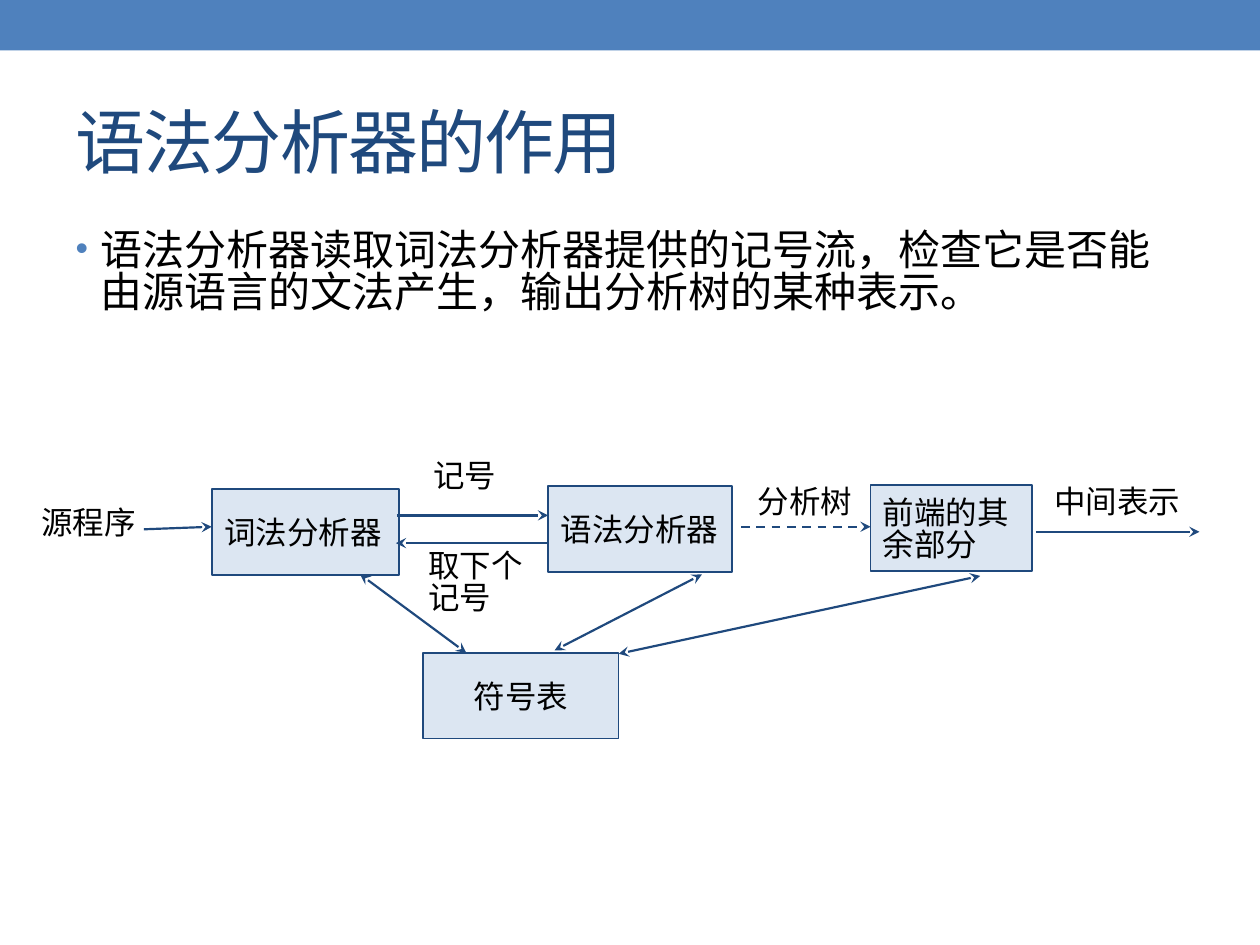
"""Build a slide on the role of the syntax analyser in a compiler front end."""
from lxml import etree
from pptx import Presentation
from pptx import util as u
from pptx.dml.color import RGBColor
from pptx.enum import dml, shapes, text
from pptx.oxml import ns

NAVY, BLUE, PALE, BLACK = "1F497D", "4F81BD", "DCE6F2", "000000"
SC, JP = "Noto Sans CJK SC", "Noto Sans CJK JP"
LEFT, CENTER = text.PP_ALIGN.LEFT, text.PP_ALIGN.CENTER


def rgb(value):
    return RGBColor.from_string(value)


def write(frame, wording, size=18, color=BLACK, font=SC, align=LEFT,
          spacing=0.84, top=0.19):
    frame.text = wording
    frame.word_wrap = True
    frame.auto_size = text.MSO_AUTO_SIZE.NONE
    frame.margin_top = u.Cm(top)
    for paragraph in frame.paragraphs:
        paragraph.alignment = align
        paragraph.line_spacing = spacing
        for run in paragraph.runs:
            run.font.size = u.Pt(size)
            run.font.color.rgb = rgb(color)
            run.font.name = font
            properties = run._r.get_or_add_rPr()
            etree.SubElement(properties, ns.qn("a:ea"), typeface=font)


deck = Presentation()
deck.slide_width, deck.slide_height = u.Cm(25.4), u.Cm(19.05)
slide = deck.slides.add_slide(deck.slide_layouts[1])

banner = slide.shapes.add_shape(shapes.MSO_SHAPE.RECTANGLE, 0, 0, deck.slide_width, u.Cm(1.02))
banner.shadow.inherit = False
banner.fill.solid()
banner.fill.fore_color.rgb = rgb(BLUE)
banner.line.fill.background()

title = slide.shapes.title
title.left, title.top, title.width, title.height = map(u.Cm, (1.27, 1.47, 22.86, 2.74))
write(title.text_frame, "语法分析器的作用", 40, NAVY, spacing=1.0, top=0.13)
title.text_frame.vertical_anchor = text.MSO_ANCHOR.MIDDLE
title.text_frame.paragraphs[0].runs[0]._r.get_or_add_rPr().set("spc", "-100")

summary = slide.placeholders[1]
summary.left, summary.top, summary.width, summary.height = map(u.Cm, (1.27, 4.45, 22.86, 13.54))
write(summary.text_frame,
      "语法分析器读取词法分析器提供的记号流，检查它是否能由源语言的文法产生，输出分析树的某种表示。",
      24, top=0.21)
bullet = summary.text_frame.paragraphs[0]._p.get_or_add_pPr()
bullet.set("marL", str(u.Cm(0.51)))
bullet.set("indent", str(u.Cm(-0.51)))
bullet_color = etree.SubElement(bullet, ns.qn("a:buClr"))
etree.SubElement(bullet_color, ns.qn("a:srgbClr"), val=BLUE)
etree.SubElement(bullet, ns.qn("a:buSzPct"), val="85000")
etree.SubElement(bullet, ns.qn("a:buFont"), typeface="Arial")
etree.SubElement(bullet, ns.qn("a:buChar"), char="•")

stages = [
    ("词法分析器", 4.27, 9.86, 3.78, LEFT),
    ("语法分析器", 11.05, 9.8, 3.71, LEFT),
    ("符号表", 8.53, 13.16, 3.94, CENTER),
    ("前端的其余部分", 17.55, 9.78, 3.25, LEFT),
]
for wording, left, top, width, align in stages:
    stage = slide.shapes.add_shape(
        shapes.MSO_SHAPE.RECTANGLE, *map(u.Cm, (left, top, width, 1.73)))
    stage.shadow.inherit = False
    stage.fill.solid()
    stage.fill.fore_color.rgb = rgb(PALE)
    stage.line.color.rgb = rgb(NAVY)
    stage.line.width = u.Pt(1)
    write(stage.text_frame, wording, align=align, top=0.25)
    stage.text_frame.vertical_anchor = text.MSO_ANCHOR.MIDDLE

BOTH, END = ("headEnd", "tailEnd"), ("tailEnd",)
flows = [
    (7.26, 11.58, 9.4, 13.16, BOTH, False),
    (14.15, 11.58, 11.18, 13.11, BOTH, False),
    (19.76, 11.61, 12.47, 13.18, BOTH, False),
    (8.0, 10.39, 11.05, 10.39, END, False),
    (11.05, 10.95, 7.98, 10.95, END, False),
    (2.9, 10.67, 4.27, 10.62, END, False),
    (14.94, 10.62, 17.55, 10.62, END, True),
    (20.88, 10.72, 24.18, 10.72, END, False),
]
for *ends, heads, dashed in flows:
    flow = slide.shapes.add_connector(shapes.MSO_CONNECTOR.STRAIGHT, *map(u.Cm, ends))
    flow.line.color.rgb = rgb(NAVY)
    flow.line.width = u.Pt(1.25)
    if dashed:
        flow.line.dash_style = dml.MSO_LINE.DASH
    outline = flow.line._get_or_add_ln()
    for head in heads:
        etree.SubElement(outline, ns.qn(f"a:{head}"), type="stealth")
    etree.SubElement(flow._element.spPr, ns.qn("a:effectLst"))

labels = [
    ("记号", 8.48, 9.12, 4.67, 1.27, SC, LEFT, 0.19),
    ("取下个\n记号", 8.38, 10.95, 4.88, 1.27, SC, LEFT, 0.19),
    ("源程序", 0.58, 10.08, 2.79, 1.07, SC, LEFT, 0.19),
    ("分析树", 13.94, 9.75, 4.57, 1.19, JP, CENTER, 0.09),
    ("中间表示", 20.24, 9.75, 4.57, 1.19, JP, CENTER, 0.09),
]
for wording, *place, font, align, top in labels:
    label = slide.shapes.add_textbox(*map(u.Cm, place))
    write(label.text_frame, wording, font=font, align=align, top=top)

deck.save("out.pptx")
